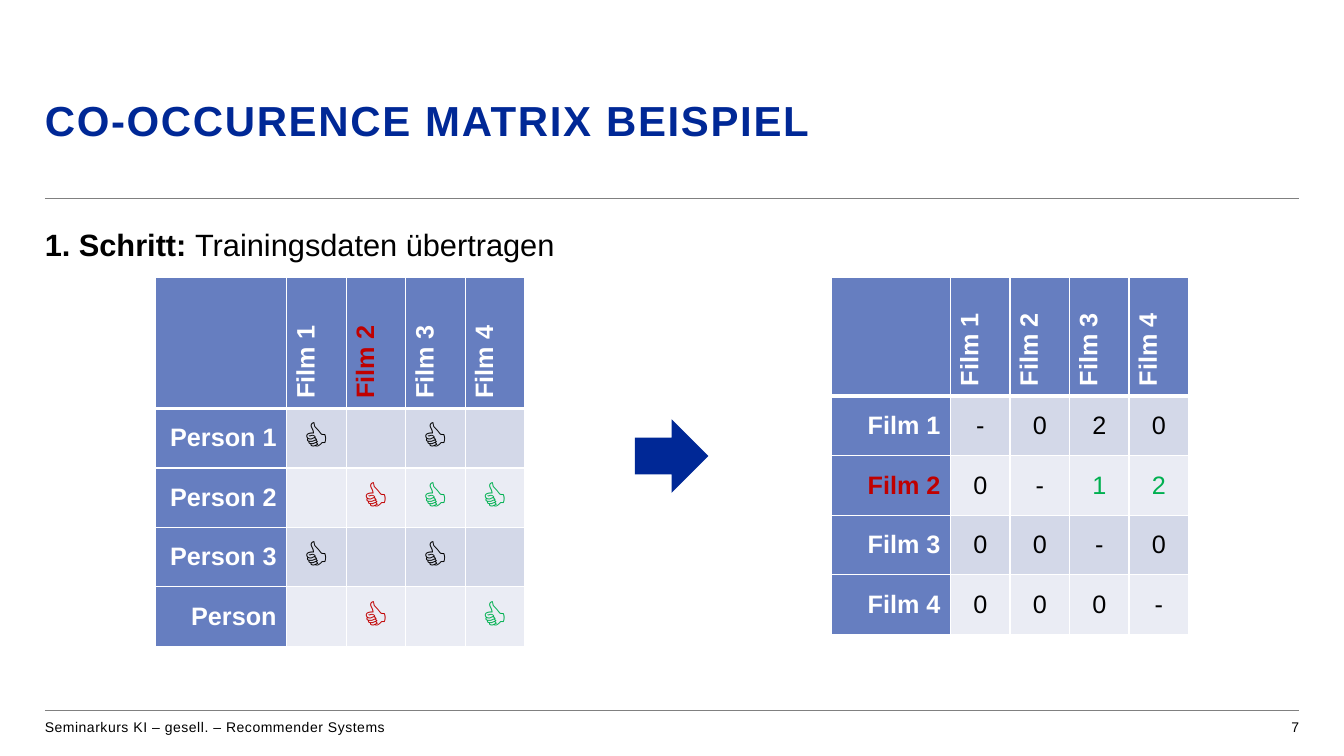
from lxml import etree
from pptx import Presentation
from pptx.dml.color import RGBColor
from pptx.enum import shapes, text
from pptx.oxml.ns import qn
from pptx.util import Pt

FONT = "Arial"
COLORS = {
    "navy": "002896", "black": "000000", "white": "FFFFFF", "rule": "808080",
    "header": "667EC0", "odd": "D3D8E8", "even": "EAECF4",
    "red": "C00000", "green": "00B050",
}
TITLE = "CO-OCCURENCE MATRIX BEISPIEL"
STEP = ("1. Schritt: ", "Trainingsdaten übertragen")
FOOTER = "Seminarkurs KI – gesell. – Recommender Systems"
PAGE_NUMBER = "7"
FILMS = ["Film 1", "Film 2", "Film 3", "Film 4"]
LIKE = "👍"

# "marks" gives the coloured cells by (row, column), headers included
CO_OCCURRENCE = {
    "left": 594, "head": 85, "size": 18,
    "rows": [
        ["", *FILMS],
        ["Film 1", "-", "0", "2", "0"],
        ["Film 2", "0", "-", "1", "2"],
        ["Film 3", "0", "0", "-", "0"],
        ["Film 4", "0", "0", "0", "-"],
    ],
    "marks": {(2, 0): "red", (2, 3): "green", (2, 4): "green"},
}
RATINGS = {
    "left": 111, "head": 93.75, "size": 28,
    "rows": [
        ["", *FILMS],
        ["Person 1", LIKE, "", LIKE, ""],
        ["Person 2", "", LIKE, LIKE, LIKE],
        ["Person 3", LIKE, "", LIKE, ""],
        ["Person", "", LIKE, "", LIKE],
    ],
    "marks": {(0, 2): "red", (2, 2): "red", (4, 2): "red",
              (2, 3): "green", (2, 4): "green", (4, 4): "green"},
}
LEFT, RIGHT = 32, 928
TABLE_TOP, CELL = 198, 42.5


def rgb(name):
    return RGBColor.from_string(COLORS[name])


def style(font, size, color, bold=False):
    font.name, font.size, font.bold = FONT, Pt(size), bold
    font.color.rgb = rgb(color)


def place(shape, left, top, width, height):
    shape.left, shape.top = Pt(left), Pt(top)
    shape.width, shape.height = Pt(width), Pt(height)


def clear_frame(frame):
    """Drop margins and autofit, and start the text at the top."""
    frame.margin_left = frame.margin_right = 0
    frame.margin_top = frame.margin_bottom = 0
    frame.word_wrap = True
    frame.auto_size = text.MSO_AUTO_SIZE.NONE
    frame.vertical_anchor = text.MSO_ANCHOR.TOP


def set_tracking(para, points):
    for span in para.runs:
        span.font._element.set("spc", str(round(points * 100)))


def add_rule(page, top):
    rule = page.shapes.add_connector(
        shapes.MSO_CONNECTOR.STRAIGHT, Pt(LEFT), Pt(top), Pt(RIGHT), Pt(top))
    rule.line.color.rgb = rgb("rule")
    rule.line.width = Pt(0.5)
    etree.SubElement(rule._element.spPr, qn("a:effectLst"))


def add_footer_text(page, words, left, width, align, tracking=0):
    box = page.shapes.add_textbox(Pt(left), Pt(513.5), Pt(width), Pt(17))
    clear_frame(box.text_frame)
    para = box.text_frame.paragraphs[0]
    para.text, para.alignment = words, align
    style(para.font, 10, "black")
    set_tracking(para, tracking)


def set_borders(cell, bottom):
    props = cell._tc.get_or_add_tcPr()
    widths = (("a:lnL", 1), ("a:lnR", 1), ("a:lnT", 1), ("a:lnB", bottom))
    for index, (tag, width) in enumerate(widths):
        line = etree.Element(qn(tag), w=str(Pt(width)))
        fill = etree.SubElement(line, qn("a:solidFill"))
        etree.SubElement(fill, qn("a:srgbClr"), val=COLORS["white"])
        props.insert(index, line)


def fill_cell(cell, words, row, col, matrix):
    is_header = row == 0 or col == 0
    cell.fill.solid()
    cell.fill.fore_color.rgb = rgb(
        "header" if is_header else "odd" if row % 2 else "even")
    set_borders(cell, 3 if row == 0 else 1)
    cell.vertical_anchor = text.MSO_ANCHOR.MIDDLE
    if row == 0 and col:
        cell._tc.get_or_add_tcPr().set("vert", "vert270")
    if not words:
        return
    para = cell.text_frame.paragraphs[0]
    para.text = words
    if row:
        para.alignment = text.PP_ALIGN.CENTER if col else text.PP_ALIGN.RIGHT
    color = matrix["marks"].get((row, col), "white" if is_header else "black")
    style(para.font, 18 if is_header else matrix["size"], color, is_header)


def add_matrix(page, matrix):
    rows, head = matrix["rows"], matrix["head"]
    count = len(rows)
    side = Pt(head + CELL * (count - 1))
    table = page.shapes.add_table(
        count, count, Pt(matrix["left"]), Pt(TABLE_TOP), side, side).table
    table.horz_banding = False
    for index in range(count):
        length = Pt(CELL if index else head)
        table.columns[index].width = table.rows[index].height = length
    for row, words_in_row in enumerate(rows):
        for col, words in enumerate(words_in_row):
            fill_cell(table.cell(row, col), words, row, col, matrix)


def main():
    deck = Presentation()
    deck.slide_width, deck.slide_height = Pt(960), Pt(540)
    page = deck.slides.add_slide(deck.slide_layouts[1])
    title, body = page.placeholders

    place(title, LEFT, 70.5, RIGHT - LEFT, 68)
    clear_frame(title.text_frame)
    para = title.text_frame.paragraphs[0]
    para.text, para.alignment = TITLE, text.PP_ALIGN.LEFT
    para.line_spacing = 0.94
    style(para.font, 30, "navy", True)
    set_tracking(para, 1.2)

    place(body, LEFT, 160, RIGHT - LEFT, 331)
    clear_frame(body.text_frame)
    para = body.text_frame.paragraphs[0]
    para.line_spacing, para.space_before, para.space_after = 1.05, 0, Pt(20)
    style(para.font, 22, "black")
    for words, bold in zip(STEP, (True, False)):
        span = para.add_run()
        span.text, span.font.bold = words, bold
    props = para._p.get_or_add_pPr()
    props.set("marL", "0")
    props.set("indent", "0")
    props.insert_element_before(
        etree.Element(qn("a:buNone")), "a:tabLst", "a:defRPr", "a:extLst")

    for top in (507.75, 141.75):
        add_rule(page, top)
    add_footer_text(page, FOOTER, LEFT, 581, text.PP_ALIGN.LEFT, 0.4)
    add_footer_text(page, PAGE_NUMBER, RIGHT - 150, 150, text.PP_ALIGN.RIGHT)

    for matrix in (CO_OCCURRENCE, RATINGS):
        add_matrix(page, matrix)

    arrow = page.shapes.add_shape(
        shapes.MSO_SHAPE.RIGHT_ARROW, Pt(453.5), Pt(299.5), Pt(52.5), Pt(52.5))
    arrow.shadow.inherit = False
    arrow.fill.solid()
    arrow.fill.fore_color.rgb = rgb("navy")
    arrow.line.fill.background()

    deck.save("out.pptx")


if __name__ == "__main__":
    main()
